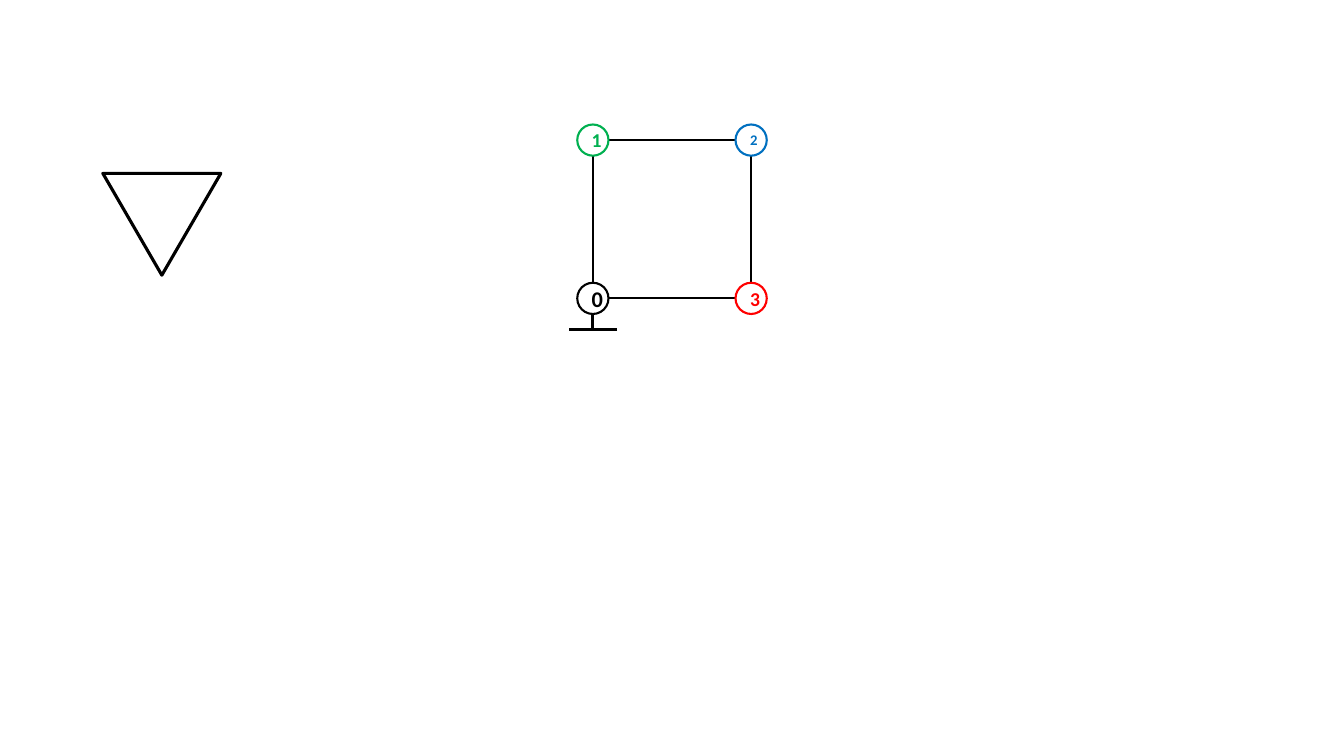
from pptx import Presentation
from pptx import util as u
from pptx.dml.color import RGBColor
from pptx.enum import shapes, text
from pptx.oxml import ns
from lxml import etree

BLACK, WHITE, GREY = "000000", "FFFFFF", "D9D9D9"
GREEN, BLUE, RED = "00B050", "0070C0", "FF0000"
SHAPE = shapes.MSO_SHAPE


def colour(code):
    return RGBColor.from_string(code)


def bezier(start, first, second, end, steps=8):
    """Points along a cubic curve, without its start."""
    for step in range(1, steps + 1):
        t = step / steps
        weights = ((1 - t) ** 3, 3 * t * (1 - t) ** 2, 3 * t * t * (1 - t), t ** 3)
        yield tuple(sum(w * point[axis] for w, point in
                        zip(weights, (start, first, second, end)))
                    for axis in (0, 1))


class Sketch:
    font = "Calibri"

    def __init__(self, page):
        self.page = page

    def paint(self, item, fill, line, width):
        item.shadow.inherit = False
        if fill:
            item.fill.solid()
            item.fill.fore_color.rgb = colour(fill)
        else:
            item.fill.background()
        item.line.color.rgb = colour(line)
        item.line.width = u.Pt(width)
        return item

    def shape(self, kind, left, top, width, height, fill=None, line=BLACK, weight=1.5):
        item = self.page.shapes.add_shape(
            kind, *map(u.Inches, (left, top, width, height)))
        return self.paint(item, fill, line, weight)

    def line(self, start, end, weight=2.25):
        item = self.page.shapes.add_connector(
            shapes.MSO_CONNECTOR.STRAIGHT, *map(u.Inches, start + end))
        item.line.color.rgb = colour(BLACK)
        item.line.width = u.Pt(weight)
        etree.SubElement(item._element.spPr, ns.qn("a:effectLst"))

    def curve(self, start, segments, fill):
        points = [start]
        for segment in segments:
            points.extend(bezier(points[-1], *segment))
        builder = self.page.shapes.build_freeform(*start, scale=u.Inches(1))
        builder.add_line_segments(points[1:], close=False)
        self.paint(builder.convert_to_shape(), fill, BLACK, 1.5)

    def node(self, x, y, label, size, tint, diameter=0.31):
        box = self.shape(SHAPE.OVAL, x - diameter / 2, y - diameter / 2,
                         diameter, diameter, WHITE, tint)
        frame = box.text_frame
        frame.word_wrap = True
        frame.vertical_anchor = text.MSO_ANCHOR.MIDDLE
        para = frame.paragraphs[0]
        para.alignment = text.PP_ALIGN.CENTER
        span = para.add_run()
        span.text = label
        style = {"name": self.font, "size": u.Pt(size), "bold": True}
        for key, value in style.items():
            setattr(span.font, key, value)
        span.font.color.rgb = colour(tint)


def main():
    deck = Presentation()
    deck.slide_width, deck.slide_height = u.Inches(13.33), u.Inches(7.5)
    sketch = Sketch(deck.slides.add_slide(deck.slide_layouts[6]))

    # Square frame and inverted triangle
    left, top, side = 5.88, 1.39, 1.57
    right, bottom = left + side, top + side
    sketch.shape(SHAPE.RECTANGLE, left, top, side, side, WHITE)
    triangle = sketch.shape(SHAPE.ISOSCELES_TRIANGLE, 1.02, 1.72, 1.17, 1.01, weight=2.25)
    triangle.rotation = 180

    # Ground support below the frame
    ground = 3.27
    sketch.curve((5.66, 3.28), [
        ((5.68, 3.34), (5.7, 3.39), (5.73, 3.41)),
        ((5.77, 3.42), (5.85, 3.35), (5.89, 3.35)),
        ((5.94, 3.36), (5.97, 3.44), (6.01, 3.43)),
        ((6.05, 3.42), (6.08, 3.34), (6.12, ground)),
    ], GREY)
    sketch.line((left, 3.12), (left, ground))
    sketch.line((6.12, ground), (5.64, ground))

    # Numbered joints at the corners
    for joint in ((left, top, "1", 14, GREEN), (right, top, "2", 10.5, BLUE),
                  (left, bottom, "0", 16, BLACK), (right, bottom, "3", 14, RED)):
        sketch.node(*joint)

    deck.save("out.pptx")


if __name__ == "__main__":
    main()
